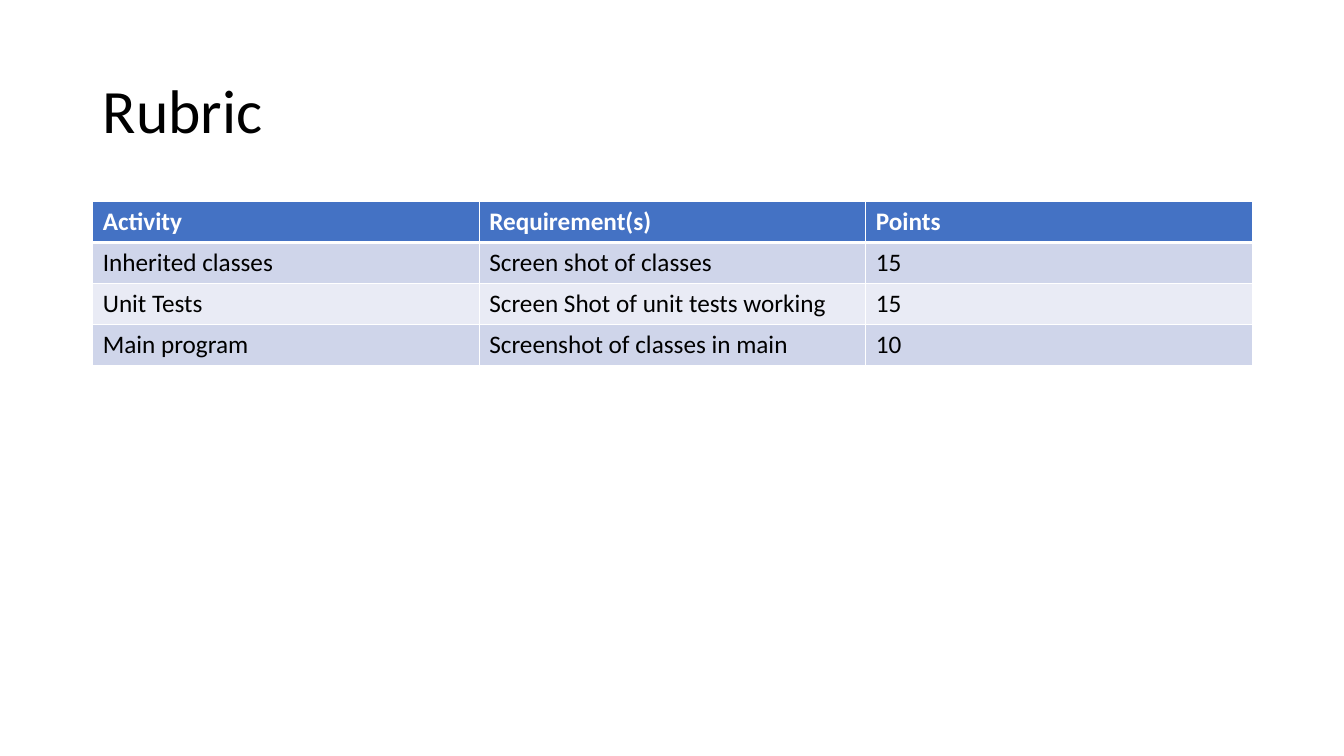
from dataclasses import dataclass

from lxml.etree import SubElement
from pptx import Presentation
from pptx.dml.color import RGBColor as RGB
from pptx.enum.text import MSO_ANCHOR as Anchor, PP_ALIGN as Align
from pptx.oxml.ns import qn
from pptx.util import Inches, Pt

TITLE = "Rubric"
RUBRIC = [
    ("Activity", "Requirement(s)", "Points"),
    ("Inherited classes", "Screen shot of classes", "15"),
    ("Unit Tests", "Screen Shot of unit tests working", "15"),
    ("Main program", "Screenshot of classes in main", "10"),
]


@dataclass(frozen=True)
class Theme:
    font: str = "Calibri"
    title_size: int = 44
    cell_size: int = 18
    text: str = "000000"
    header_text: str = "FFFFFF"
    header_fill: str = "4472C4"
    bands: tuple = ("CFD5EA", "E9EBF5")
    border: str = "FFFFFF"
    thin: int = 1
    thick: int = 3


THEME = Theme()
LEFT, WIDTH = 0.92, 11.5
TITLE_TOP, TITLE_HEIGHT = 0.4, 1.45
TABLE_TOP, ROW_HEIGHT = 2, 0.405


def add_run(p, text, size, color, bold=False):
    r = p.add_run()
    r.text = text
    r.font.name = THEME.font
    r.font.size = Pt(size)
    r.font.bold = bold
    r.font.color.rgb = RGB.from_string(color)


def set_borders(cell, widths):
    """Draw cell borders; widths maps a side (L, R, T, B) to points."""
    props = cell._tc.get_or_add_tcPr()
    for side, width in widths.items():
        line = SubElement(props, qn(f"a:ln{side}"), w=str(Pt(width)))
        fill = SubElement(line, qn("a:solidFill"))
        SubElement(fill, qn("a:srgbClr"), val=THEME.border)


def add_title(s):
    sp = s.shapes.title
    sp.left, sp.top = Inches(LEFT), Inches(TITLE_TOP)
    sp.width, sp.height = Inches(WIDTH), Inches(TITLE_HEIGHT)
    tf = sp.text_frame
    tf.word_wrap = True
    tf.vertical_anchor = Anchor.MIDDLE
    p = tf.paragraphs[0]
    p.alignment = Align.LEFT
    p.line_spacing = 0.9
    add_run(p, TITLE, THEME.title_size, THEME.text)


def add_rubric(s):
    table = s.shapes.add_table(
        len(RUBRIC), len(RUBRIC[0]), Inches(LEFT), Inches(TABLE_TOP),
        Inches(WIDTH), Inches(ROW_HEIGHT * len(RUBRIC))).table
    for i, row in enumerate(RUBRIC):
        header = i == 0
        fill = THEME.header_fill if header else THEME.bands[(i - 1) % 2]
        color = THEME.header_text if header else THEME.text
        top = THEME.thick if i == 1 else THEME.thin
        bottom = THEME.thick if header else THEME.thin
        for j, text in enumerate(row):
            cell = table.cell(i, j)
            set_borders(cell, {"L": THEME.thin, "R": THEME.thin, "T": top, "B": bottom})
            cell.fill.solid()
            cell.fill.fore_color.rgb = RGB.from_string(fill)
            add_run(cell.text_frame.paragraphs[0], text, THEME.cell_size, color, header)


def main():
    prs = Presentation()
    prs.slide_width, prs.slide_height = Inches(13.33), Inches(7.5)
    s = prs.slides.add_slide(prs.slide_layouts[5])
    add_title(s)
    add_rubric(s)
    prs.save("out.pptx")


if __name__ == "__main__":
    main()
